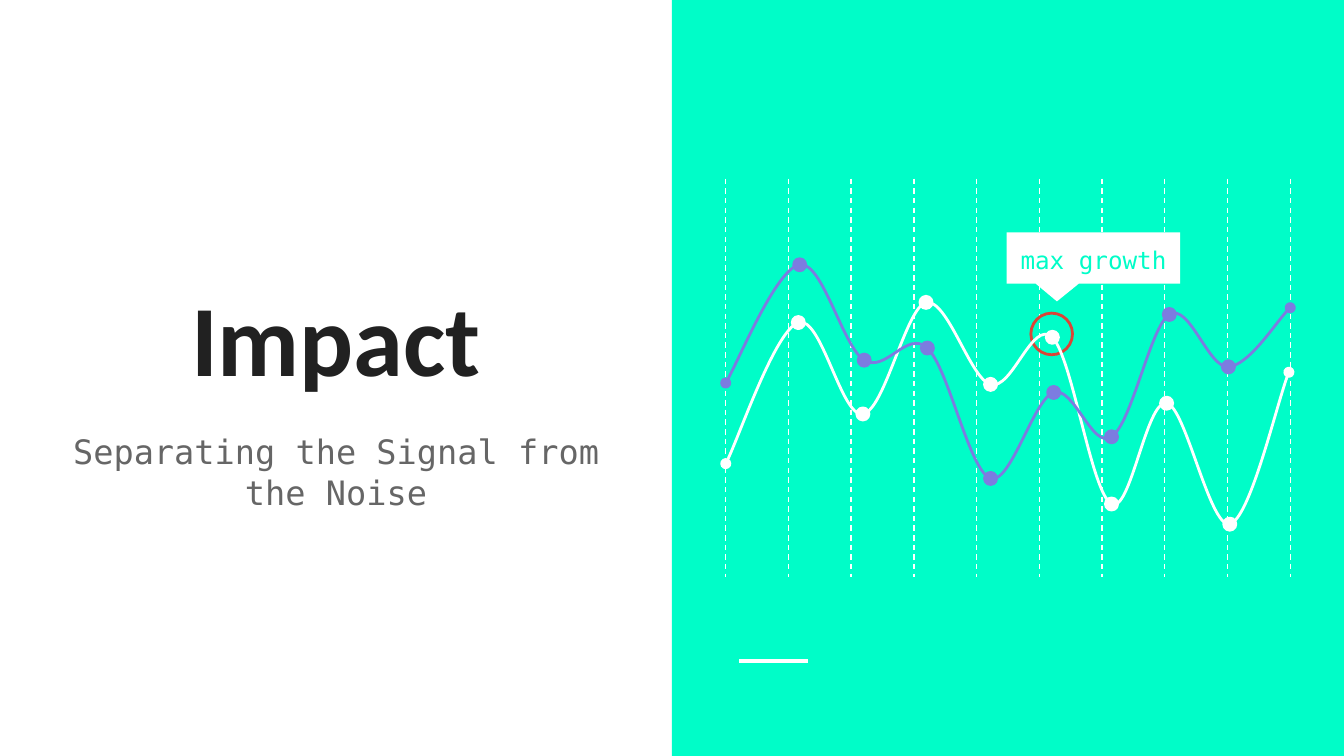
from lxml import etree
from pptx import Presentation
from pptx.dml.color import RGBColor
from pptx.enum.dml import MSO_LINE as Dash
from pptx.enum.shapes import MSO_CONNECTOR as Conn, MSO_SHAPE as Shape
from pptx.enum.text import MSO_ANCHOR as Anchor, MSO_AUTO_SIZE as Fit, PP_ALIGN as Align
from pptx.oxml.ns import qn
from pptx.util import Inches, Pt

MINT, WHITE, VIOLET, RED = "00FDC8", "FFFFFF", "7C7CE0", "DB4437"
INK, GREY = "212121", "666666"
SANS, MONO = "Calibri", "DejaVu Sans Mono"
WIDE = 10
HIGH = WIDE * 9 / 16
DOT = 0.09

LOWER = [
    (5.4, 3.45), (5.49, 3.28), (5.77, 2.46), (5.94, 2.4),
    (6.11, 2.34), (6.26, 3.11), (6.42, 3.08),
    (6.58, 3.06), (6.74, 2.29), (6.89, 2.25),
    (7.05, 2.22), (7.22, 2.82), (7.37, 2.86),
    (7.53, 2.91), (7.68, 2.37), (7.83, 2.51),
    (7.98, 2.66), (8.12, 3.67), (8.27, 3.75),
    (8.41, 3.83), (8.53, 2.97), (8.68, 3),
    (8.82, 3.02), (9, 3.93), (9.15, 3.9),
    (9.3, 3.86), (9.51, 2.96), (9.59, 2.77),
]
UPPER = [
    (5.4, 2.85), (5.49, 2.7), (5.78, 2), (5.95, 1.97),
    (6.12, 1.94), (6.27, 2.58), (6.43, 2.68),
    (6.59, 2.78), (6.75, 2.45), (6.9, 2.59),
    (7.06, 2.74), (7.21, 3.5), (7.37, 3.56),
    (7.52, 3.61), (7.69, 2.97), (7.84, 2.92),
    (7.99, 2.87), (8.13, 3.35), (8.27, 3.25),
    (8.42, 3.16), (8.56, 2.43), (8.7, 2.34),
    (8.85, 2.25), (8.99, 2.74), (9.14, 2.73),
    (9.29, 2.72), (9.52, 2.36), (9.6, 2.29),
]


def paint(color, value):
    color.rgb = RGBColor.from_string(value)


class Deck:
    def __init__(self):
        self.file = Presentation()
        self.file.slide_width = Inches(WIDE)
        self.file.slide_height = Inches(HIGH)
        self.slide = self.file.slides.add_slide(self.file.slide_layouts[0])
        self.shapes = self.slide.shapes

    def stroke(self, line, color, width):
        paint(line.color, color)
        line.width = Pt(width)

    def shape(self, kind, box, fill=None, line=None):
        item = self.shapes.add_shape(kind, *map(Inches, box))
        item.shadow.inherit = False
        if fill:
            item.fill.solid()
            paint(item.fill.fore_color, fill)
        else:
            item.fill.background()
        if line:
            self.stroke(item.line, line, 1.5)
        else:
            item.line.fill.background()
        return item

    def line(self, start, end, width, dash=None):
        item = self.shapes.add_connector(Conn.STRAIGHT, *map(Inches, start + end))
        self.stroke(item.line, WHITE, width)
        item.line.dash_style = dash
        etree.SubElement(item._element.spPr, qn("a:effectLst"))

    def curve(self, nodes, color):
        spots = [(Inches(x), Inches(y)) for x, y in nodes]
        form = self.shapes.build_freeform(*spots[0])
        form.add_line_segments(spots[1:], close=False)
        item = form.convert_to_shape()
        item.shadow.inherit = False
        item.fill.background()
        self.stroke(item.line, color, 1.5)
        track = item._element.find(".//" + qn("a:path"))
        steps = track.findall(qn("a:lnTo"))
        for i in range(0, len(steps), 3):
            bend = etree.SubElement(track, qn("a:cubicBezTo"))
            for step in steps[i:i + 3]:
                bend.append(step[0])
                track.remove(step)
        edge = item._element.spPr.find(qn("a:ln"))
        for end in ("a:headEnd", "a:tailEnd"):
            etree.SubElement(edge, qn(end), type="oval")

    def series(self, nodes, color):
        self.curve(nodes, color)
        for x, y in nodes[3:-1:3]:
            self.shape(Shape.OVAL, (x - DOT / 2, y - DOT / 2, DOT, DOT), color, color)

    def text(self, item, box, words, font, size, color, anchor, bold=False, space=1.0):
        item.left, item.top, item.width, item.height = map(Inches, box)
        frame = item.text_frame
        frame.text = words
        frame.word_wrap = True
        frame.auto_size = Fit.NONE
        frame.vertical_anchor = anchor
        frame.margin_left = frame.margin_right = Inches(0.1)
        frame.margin_top = frame.margin_bottom = Inches(0.1)
        para = frame.paragraphs[0]
        para.alignment = Align.CENTER
        para.line_spacing = space
        para.space_before = Pt(0)
        run = para.runs[0].font
        run.name, run.size, run.bold = font, Pt(size), bold
        paint(run.color, color)

    def label(self, box, *style, **more):
        self.text(self.shapes.add_textbox(*map(Inches, box)), box, *style, **more)


def main():
    deck = Deck()
    deck.shape(Shape.RECTANGLE, (WIDE / 2, 0, WIDE / 2, HIGH), MINT)
    deck.line((5.5, 4.92), (6.01, 4.92), 2.25)
    for i in range(10):
        x = 5.4 + i * 4.2 / 9
        deck.line((x, 1.33), (x, 4.29), 0.75, Dash.DASH)
    deck.shape(Shape.OVAL, (7.67, 2.33, 0.31, 0.31), line=RED)

    title, sub = deck.slide.placeholders
    deck.text(title, (0.29, 1.18, 4.42, 1.87), "Impact", SANS, 54, INK,
              Anchor.BOTTOM, bold=True)
    deck.text(sub, (0.29, 3.11, 4.42, 1.47), "Separating the Signal from the Noise",
              MONO, 18, GREY, Anchor.TOP)

    deck.series(LOWER, WHITE)
    call = deck.shape(Shape.ROUNDED_RECTANGULAR_CALLOUT, (7.49, 1.73, 1.29, 0.38), WHITE)
    for i, value in enumerate((-0.21, 0.85, 0)):
        call.adjustments[i] = value
    deck.series(UPPER, VIOLET)
    deck.label((7.49, 1.76, 1.29, 0.31), "max growth", MONO, 13, MINT,
               Anchor.MIDDLE, space=1.15)
    deck.file.save("out.pptx")


if __name__ == "__main__":
    main()
